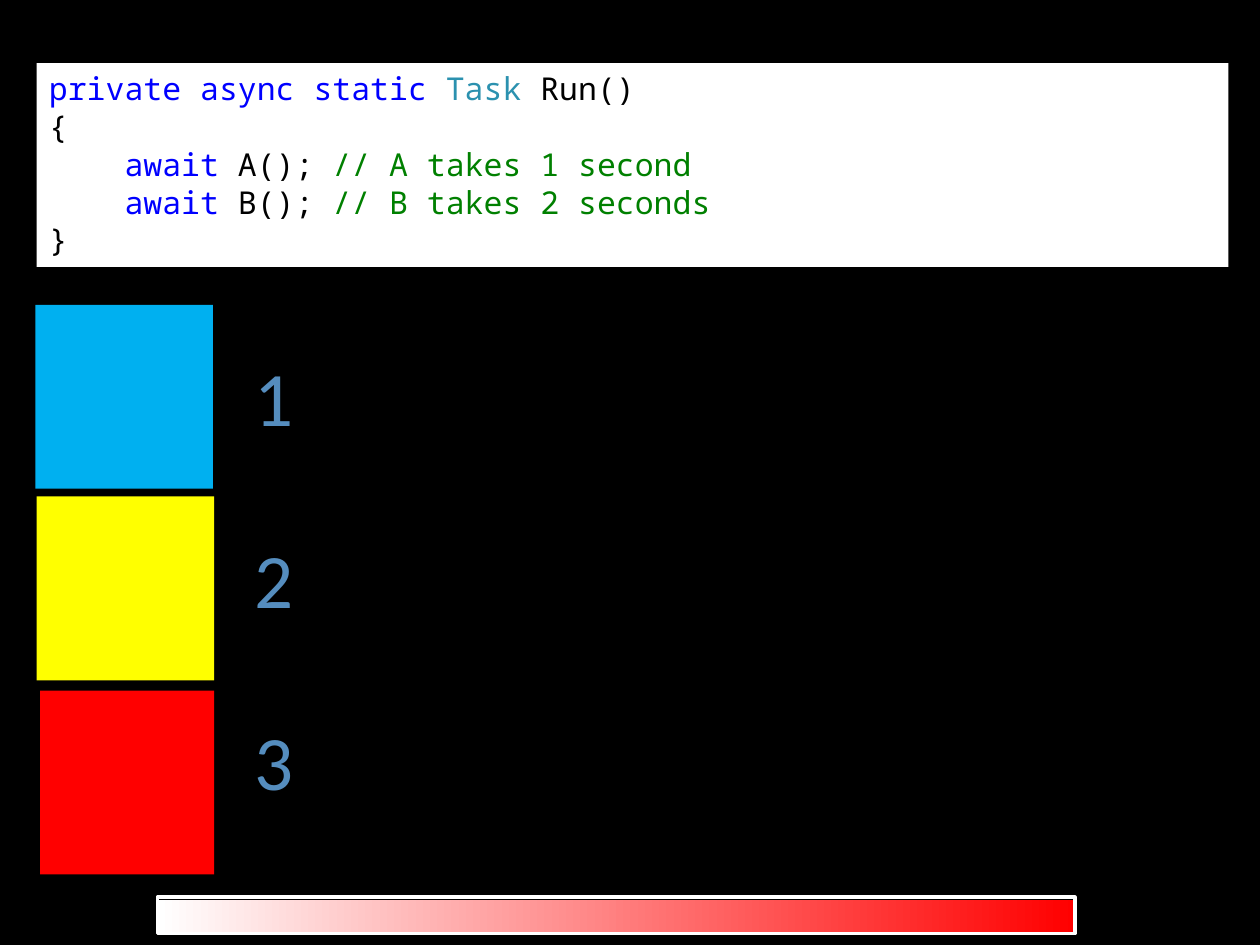
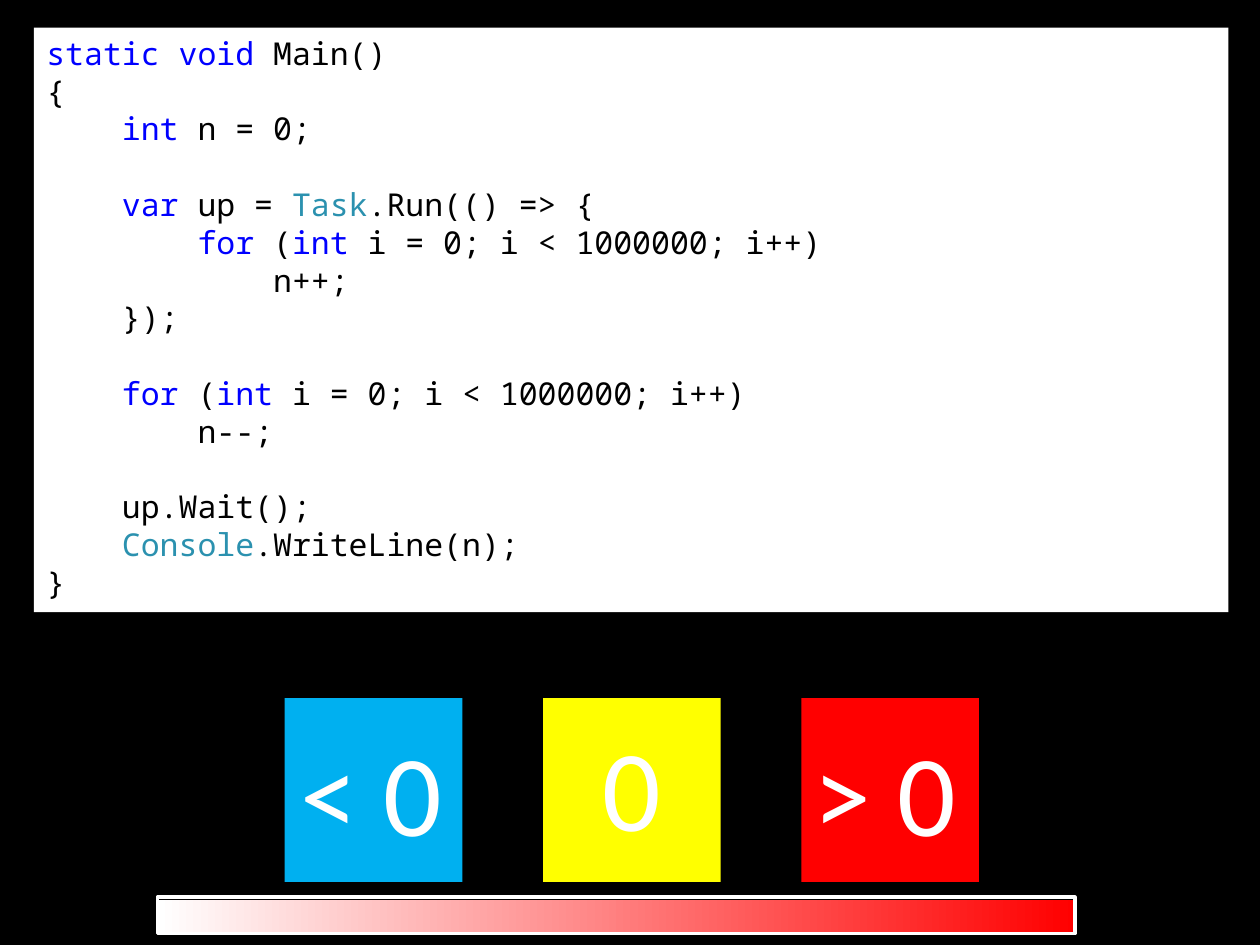
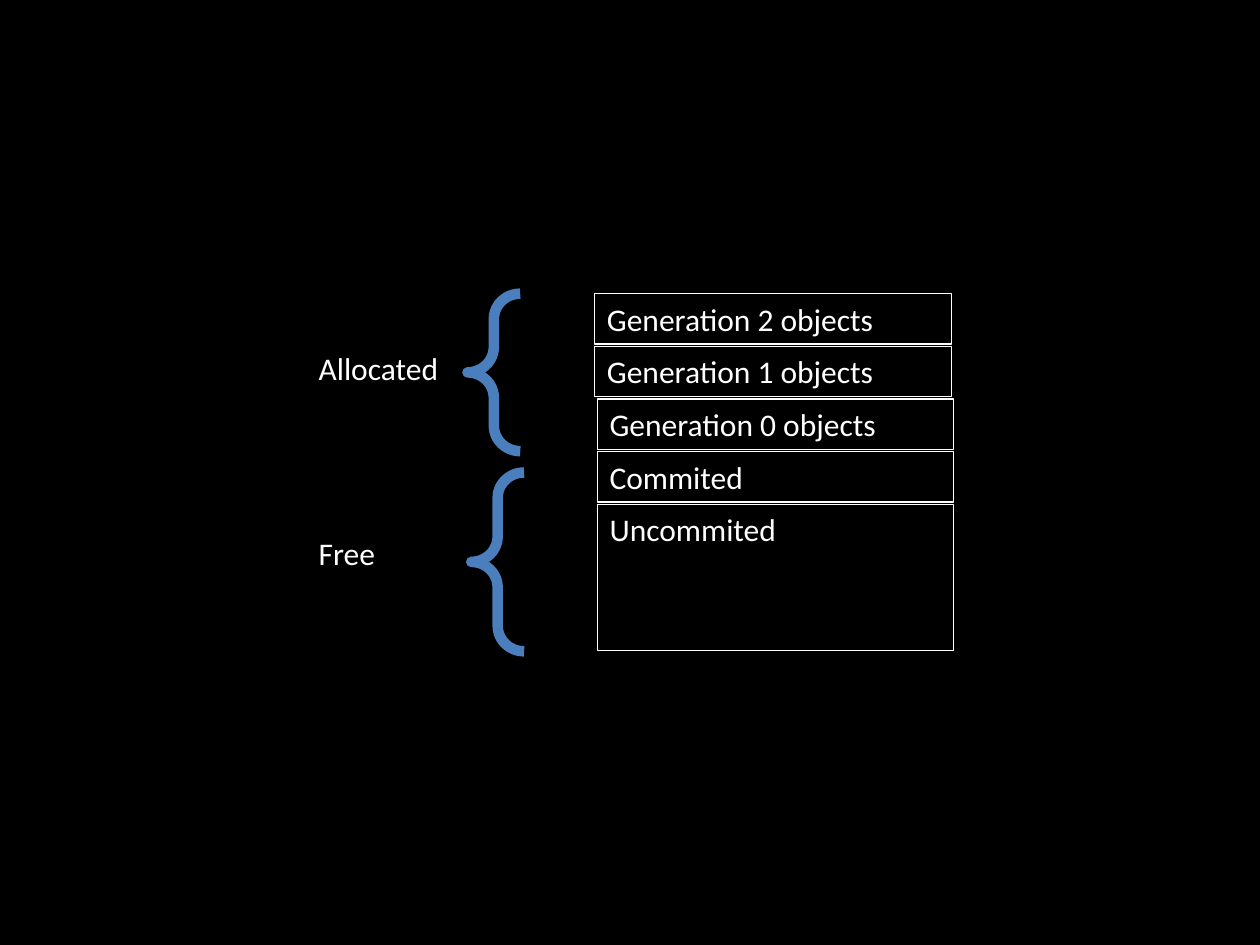
from itertools import groupby

from pptx import Presentation
from pptx.dml.color import RGBColor
from pptx.enum.shapes import MSO_SHAPE as Preset
from pptx.enum.text import MSO_ANCHOR as Anchor, MSO_AUTO_SIZE as AutoSize, PP_ALIGN as Align
from pptx.util import Pt

COLORS = {
    "black": "000000",
    "white": "FFFFFF",
    "blue": "00B0F0",
    "yellow": "FFFF00",
    "red": "FF0000",
    "number": "558DBE",
    "brace": "4B7EBC",
    "keyword": "0000FF",
    "class": "2B91AF",
    "comment": "008000",
}
TILE_COLORS = ("blue", "yellow", "red")
TILE_WIDTH, TILE_HEIGHT = 101.5, 105.1
TEXT_FONT, CODE_FONT = "Calibri", "Noto Sans Mono"
KEYWORDS = {"private", "async", "static", "await", "void", "int", "var", "for"}
CLASSES = {"Task", "Console"}

AWAIT_CODE = """private async static Task Run()
{
    await A(); // A takes 1 second
    await B(); // B takes 2 seconds
}"""

RACE_CODE = """static void Main()
{
    int n = 0;

    var up = Task.Run(() => {
        for (int i = 0; i < 1000000; i++)
            n++;
    });

    for (int i = 0; i < 1000000; i++)
        n--;

    up.Wait();
    Console.WriteLine(n);
}"""


def rgb(color):
    return RGBColor.from_string(COLORS[color])


def add_block(shapes, preset, box, fill=None, line=None, line_width=0.75):
    block = shapes.add_shape(preset, *map(Pt, box))
    block.shadow.inherit = False
    if fill:
        block.fill.solid()
        block.fill.fore_color.rgb = rgb(fill)
    else:
        block.fill.background()
    if line:
        block.line.color.rgb = rgb(line)
        block.line.width = Pt(line_width)
    else:
        block.line.fill.background()
    return block


def write(holder, text, size=18, color="white", align=Align.LEFT, anchor=Anchor.TOP):
    frame = holder.text_frame
    frame.word_wrap = True
    frame.vertical_anchor = anchor
    paragraph = frame.paragraphs[0]
    paragraph.text = text
    paragraph.alignment = align
    font = paragraph.font
    font.name, font.size, font.color.rgb = TEXT_FONT, Pt(size), rgb(color)


def add_label(shapes, text, box, **style):
    write(shapes.add_textbox(*map(Pt, box)), text, **style)


def add_progress_bar(shapes):
    gradient = add_block(shapes, Preset.RECTANGLE, (90, 514.1, 524.2, 20.2)).fill
    gradient.gradient()
    gradient.gradient_angle = 0
    for stop, position, color in zip(gradient.gradient_stops, (0, 1), ("white", "red")):
        stop.position = position
        stop.color.rgb = rgb(color)
    add_block(shapes, Preset.RECTANGLE, (90, 512.6, 524.2, 20.9), line="white", line_width=2)


def token_color(token):
    if token in KEYWORDS:
        return "keyword"
    return "class" if token in CLASSES else "black"


def colored_parts(line):
    code, slashes, remark = line.partition("//")
    tokens = ["".join(letters) for _, letters in groupby(code, str.isalnum)]
    parts = [(color, "".join(group)) for color, group in groupby(tokens, token_color)]
    return parts + [("comment", slashes + remark)] if slashes else parts


def add_code(shapes, code, box):
    frame = add_block(shapes, Preset.RECTANGLE, box, fill="white").text_frame
    frame.word_wrap = True
    frame.auto_size = AutoSize.SHAPE_TO_FIT_TEXT
    frame.vertical_anchor = Anchor.TOP
    for index, line in enumerate(code.splitlines()):
        paragraph = frame.add_paragraph() if index else frame.paragraphs[0]
        paragraph.alignment = Align.LEFT
        paragraph.font.name, paragraph.font.size = CODE_FONT, Pt(18)
        for color, text in colored_parts(line):
            run = paragraph.add_run()
            run.text = text
            run.font.color.rgb = rgb(color)


def build_await(shapes):
    add_progress_bar(shapes)
    add_code(shapes, AWAIT_CODE, (20.9, 36, 681.1, 116.6))
    corners = ((20.2, 174.2, TILE_WIDTH), (20.9, 283.7, TILE_WIDTH), (23, 394.6, 99.4))
    for color, corner in zip(TILE_COLORS, corners):
        add_block(shapes, Preset.RECTANGLE, (*corner, TILE_HEIGHT), fill=color)
    for index in range(3):
        add_label(shapes, str(index + 1), (138.2, 174.2 + 104 * index, 563.8, 103.7),
                  size=44, color="number", anchor=Anchor.MIDDLE)


def build_race(shapes):
    add_progress_bar(shapes)
    add_code(shapes, RACE_CODE, (19.4, 15.8, 682.6, 334.1))
    answers = (("< 0", -1.4, 0), ("0", 0, -2.9), ("> 0", -2.9, 0))
    for index, (answer, shift_x, shift_y) in enumerate(answers):
        left, top = 162.7 + 147.6 * index, 398.9
        tile = shapes.add_group_shape().shapes
        add_block(tile, Preset.RECTANGLE, (left, top, TILE_WIDTH, TILE_HEIGHT),
                  fill=TILE_COLORS[index])
        add_label(tile, answer, (left + shift_x, top + shift_y, TILE_WIDTH, TILE_HEIGHT),
                  size=66, align=Align.CENTER, anchor=Anchor.MIDDLE)


def build_heap(shapes):
    heap = shapes.add_group_shape().shapes
    segments = (
        ("Generation 2 objects", 339.8, 28.8),
        ("Generation 1 objects", 339.8, 28.8),
        ("Generation 0 objects", 341.3, 28.8),
        ("Commited", 341.3, 28.8),
        ("Uncommited", 341.3, 83.5),
    )
    for index, (name, left, height) in enumerate(segments):
        box = (left, 167.8 + 30.1 * index, 203.8, height)
        write(add_block(heap, Preset.RECTANGLE, box, line="white"), name)
    ranges = (
        ("Allocated", 195.8, (267.1, 167.8, 30.2, 90)),
        ("Free", 301.7, (269.3, 270, 30.2, 102.2)),
    )
    for name, label_top, brace_box in ranges:
        brace = add_block(heap, Preset.LEFT_BRACE, brace_box, line="brace", line_width=6)
        brace.adjustments[0] = 0.48
        add_label(heap, name, (175, label_top, 120.2, 28.8))


def main():
    deck = Presentation()
    deck.slide_width, deck.slide_height = Pt(720), Pt(540)
    background = deck.slide_master.background.fill
    background.solid()
    background.fore_color.rgb = rgb("black")
    for build in (build_await, build_race, build_heap):
        build(deck.slides.add_slide(deck.slide_layouts[6]).shapes)
    deck.save("out.pptx")


if __name__ == "__main__":
    main()
